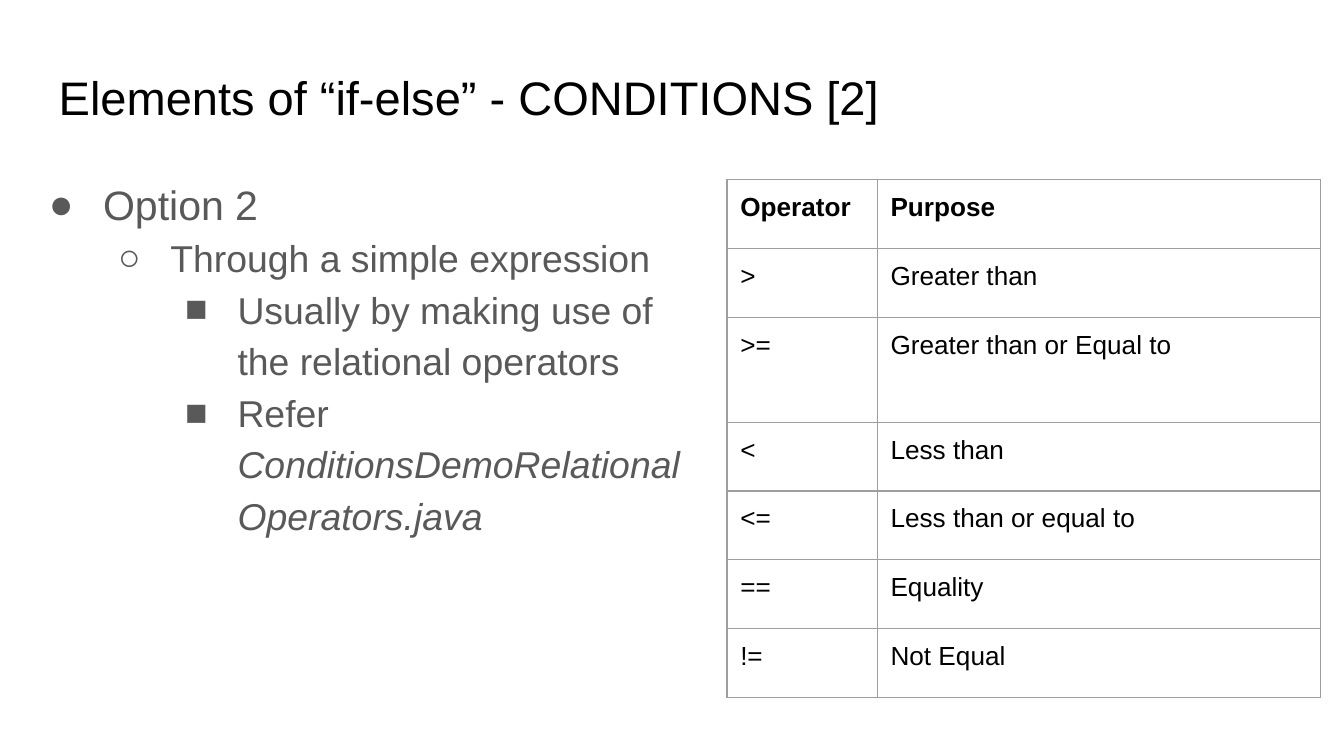
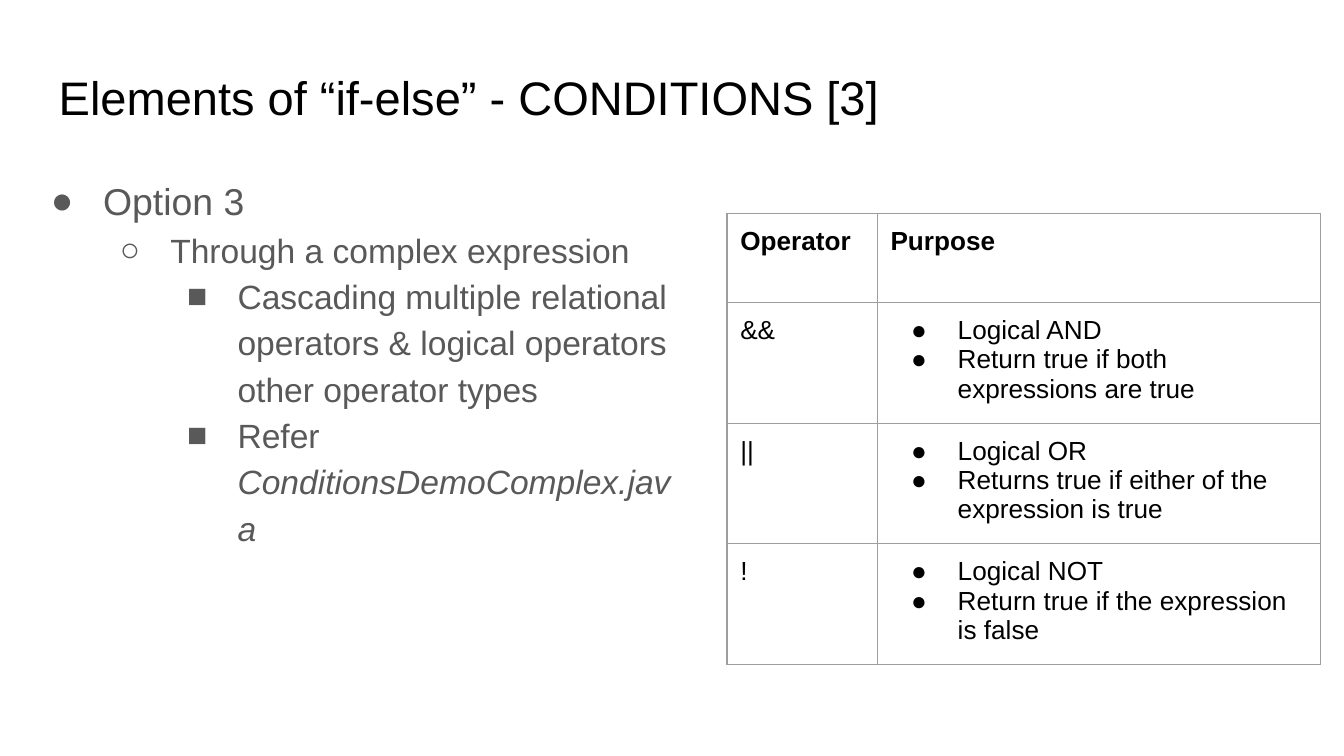
from lxml.etree import SubElement
from pptx import Presentation
from pptx.dml.color import RGBColor
from pptx.enum.text import MSO_ANCHOR as Anchor
from pptx.oxml import parse_xml
from pptx.oxml.ns import nsdecls, qn
from pptx.util import Cm, Pt

BLACK = RGBColor(0x00, 0x00, 0x00)
GREY = RGBColor(0x59, 0x59, 0x59)
BORDER = RGBColor(0x9E, 0x9E, 0x9E)
FONT = "Arial"
INSET = Cm(0.25)
INDENT_STEP = Cm(1.27)
BULLETS = "●○■"
COLUMN_WIDTHS = (2.84, 8.38)
HEADINGS = ("Operator", "Purpose")
RELATIONS = (
    (">", "Greater than"),
    (">=", "Greater than or Equal to"),
    ("<", "Less than"),
    ("<=", "Less than or equal to"),
    ("==", "Equality"),
    ("!= ", "Not Equal"),
)
LOGICALS = (
    ("&&", ("Logical AND ", "Return true if both expressions are true")),
    ("||", ("Logical OR", "Returns true if either of the expression is true")),
    ("!", ("Logical NOT", "Return true if the expression is false")),
)


def add_run(paragraph, text, size, color, bold=False, italic=False):
    """Append one styled run to a paragraph."""
    run = paragraph.add_run()
    run.text = text
    font = run.font
    font.name, font.size = FONT, Pt(size)
    font.bold, font.italic = bold, italic
    font.color.rgb = color


def add_bullet(paragraph, level, size, color):
    """Give a paragraph the bullet and hanging indent of its level."""
    properties = paragraph._p.get_or_add_pPr()
    properties.set("marL", str(INDENT_STEP * (level + 1)))
    properties.set("indent", str(-(Cm(0.635) + Pt(size) // 2)))
    properties.set("lvl", str(level))
    bullet_color = SubElement(properties, qn("a:buClr"))
    SubElement(bullet_color, qn("a:srgbClr")).set("val", str(color))
    SubElement(properties, qn("a:buFont")).set("typeface", FONT)
    SubElement(properties, qn("a:buChar")).set("char", BULLETS[level])


def next_paragraph(frame, index):
    """Return the first paragraph of a frame, or a new one after it."""
    return frame.add_paragraph() if index else frame.paragraphs[0]


def add_text_frame(slide, left, top, width, height, anchor):
    """Add a wrapping text box and return its frame."""
    box = slide.shapes.add_textbox(Cm(left), Cm(top), Cm(width), Cm(height))
    frame = box.text_frame
    frame.word_wrap = True
    frame.vertical_anchor = anchor
    frame.margin_left = frame.margin_right = INSET
    frame.margin_top = frame.margin_bottom = INSET
    return frame


def add_title(slide, number):
    """Add the shared title with its running number."""
    frame = add_text_frame(slide, 0.86, 1.02, 23.67, 1.6, Anchor.BOTTOM)
    title = f"Elements of “if-else” - CONDITIONS [{number}]"
    add_run(frame.paragraphs[0], title, 25.2, BLACK)


def add_outline(slide, option, expression, advice, demo_file, top_size):
    """Add the bulleted outline of one option."""
    frame = add_text_frame(slide, 0.43, 3, 12.78, 10.08, Anchor.TOP)
    points = ((0, option), (1, expression), (2, advice), (2, "Refer "))
    for index, (level, text) in enumerate(points):
        size = top_size if level == 0 else top_size - 2
        paragraph = next_paragraph(frame, index)
        paragraph.line_spacing = 1.15
        add_bullet(paragraph, level, size, GREY)
        add_run(paragraph, text, size, GREY)
    add_run(paragraph, demo_file, size, GREY, italic=True)


def draw_borders(cell):
    """Draw a thin line on all four sides of a cell."""
    properties = cell._tc.get_or_add_tcPr()
    for position, side in enumerate("LRTB"):
        properties.insert(position, parse_xml(
            f'<a:ln{side} {nsdecls("a")} w="{Pt(0.75)}"><a:solidFill>'
            f'<a:srgbClr val="{BORDER}"/></a:solidFill></a:ln{side}>'))


def fill_cell(cell, content, bold):
    """Write plain text, or a bulleted list, into a bordered cell."""
    cell.fill.background()
    draw_borders(cell)
    cell.margin_left = cell.margin_right = INSET
    cell.margin_top = cell.margin_bottom = INSET
    bulleted = not isinstance(content, str)
    for index, text in enumerate(content if bulleted else (content,)):
        paragraph = next_paragraph(cell.text_frame, index)
        if bulleted:
            add_bullet(paragraph, 0, 14, BLACK)
        add_run(paragraph, text, 14, BLACK, bold=bold)


def add_operator_table(slide, top, operators, row_heights):
    """Add the table of operators and their purposes."""
    rows = (HEADINGS, *operators)
    table = slide.shapes.add_table(
        len(rows), len(HEADINGS), Cm(13.74), Cm(top),
        Cm(sum(COLUMN_WIDTHS)), Cm(sum(row_heights))).table
    table.first_row = table.horz_banding = False
    for column, width in zip(table.columns, COLUMN_WIDTHS):
        column.width = Cm(width)
    for row, height, contents in zip(table.rows, row_heights, rows):
        row.height = Cm(height)
        for cell, content in zip(row.cells, contents):
            fill_cell(cell, content, bold=contents is HEADINGS)


def add_condition_slide(deck, number):
    """Add a blank slide carrying the shared title."""
    slide = deck.slides.add_slide(deck.slide_layouts[6])
    add_title(slide, number)
    return slide


def main():
    """Build both slides and save the deck."""
    deck = Presentation()
    deck.slide_width, deck.slide_height = Cm(25.4), Cm(14.29)

    relational = add_condition_slide(deck, 2)
    add_outline(relational, "Option 2", "Through a simple expression",
                "Usually by making use of the relational operators",
                "ConditionsDemoRelationalOperators.java", 22)
    add_operator_table(relational, 3.4, RELATIONS,
                       [1.3] * 2 + [1.98] + [1.3] * 4)

    logical = add_condition_slide(deck, 3)
    add_outline(logical, "Option 3", "Through a complex expression",
                "Cascading multiple relational operators & logical operators "
                "other operator types",
                "ConditionsDemoComplex.java", 20)
    add_operator_table(logical, 4.04, LOGICALS, [1.68] + [2.18] * 3)

    deck.save("out.pptx")


main()
